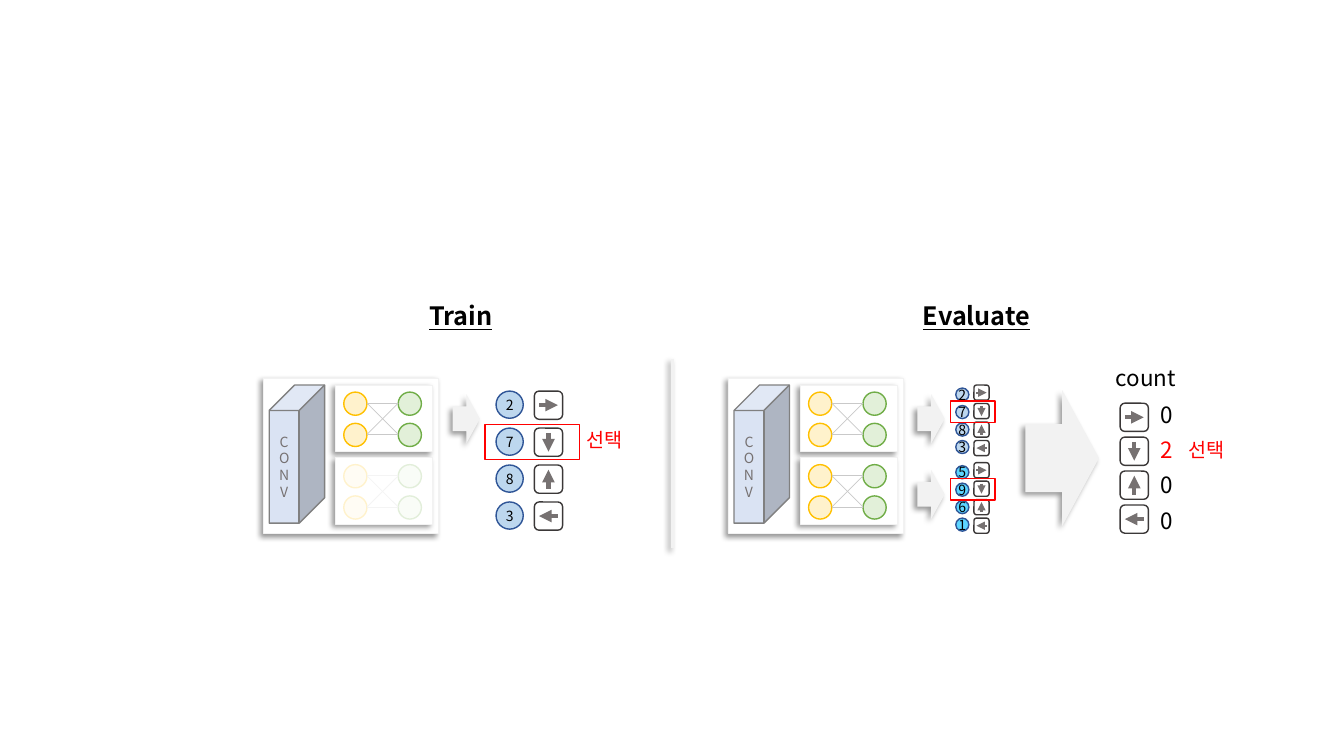
from lxml.etree import SubElement
from pptx import Presentation
from pptx.dml.color import RGBColor
from pptx.enum.shapes import MSO_CONNECTOR, MSO_SHAPE
from pptx.enum.text import MSO_ANCHOR, MSO_AUTO_SIZE, PP_ALIGN
from pptx.oxml.ns import qn
from pptx.util import Inches, Pt

RECT, ROUND = MSO_SHAPE.RECTANGLE, MSO_SHAPE.ROUNDED_RECTANGLE
OVAL, CUBE, ARROW = MSO_SHAPE.OVAL, MSO_SHAPE.CUBE, MSO_SHAPE.RIGHT_ARROW
LINE = MSO_CONNECTOR.STRAIGHT
CENTER, LEFT = PP_ALIGN.CENTER, PP_ALIGN.LEFT
TOP, MIDDLE = MSO_ANCHOR.TOP, MSO_ANCHOR.MIDDLE
FIT, NO_FIT = MSO_AUTO_SIZE.SHAPE_TO_FIT_TEXT, MSO_AUTO_SIZE.NONE

FONT = "Noto Sans CJK KR"
BLACK, WHITE, RED, PALE, GRAY = "000000", "FFFFFF", "FF0000", "F2F2F2", "767171"
BLUE, CYAN = "BDD7EE", "5DD5FF"
WAYS = [(1, 0), (0, 1), (0, -1), (-1, 0)]  # right, down, up, left


def rgb(code):
    return RGBColor.from_string(code)


def spread(first, last, count=4):
    """Return evenly spaced values from first to last."""
    return [first + i * (last - first) / (count - 1) for i in range(count)]


def shade(effects):
    """Put the soft lower-left shadow into an effect list."""
    outer = SubElement(effects, qn("a:outerShdw"), blurRad=str(Pt(4)),
                       dist=str(Pt(3)), dir=str(135 * 60000), algn="tr",
                       rotWithShape="0")
    color = SubElement(outer, qn("a:srgbClr"), val=BLACK)
    SubElement(color, qn("a:alpha"), val="40000")


class Board:
    """Holds the slide, the place for new shapes and the shared style."""

    def __init__(self, slide):
        self.slide = slide
        self.home = slide.shapes

    def group(self):
        self.home = self.slide.shapes.add_group_shape().shapes

    def ungroup(self):
        self.home = self.slide.shapes

    def shape(self, kind, x, y, w, h, fill=None, line=None, width=1,
              shadow=False):
        item = self.home.add_shape(kind, Inches(x), Inches(y), Inches(w), Inches(h))
        item.shadow.inherit = False
        if fill:
            item.fill.solid()
            item.fill.fore_color.rgb = rgb(fill)
        else:
            item.fill.background()
        if line:
            item.line.color.rgb = rgb(line)
            item.line.width = Pt(width)
        else:
            item.line.fill.background()
        if shadow:
            shade(item.element.spPr.find(qn("a:effectLst")))
        return item

    def link(self, x1, y1, x2, y2, color, width, head=False, shadow=False):
        item = self.home.add_connector(LINE, Inches(x1), Inches(y1),
                                       Inches(x2), Inches(y2))
        item.line.color.rgb = rgb(color)
        item.line.width = Pt(width)
        props = item.element.spPr
        if head:
            SubElement(props.find(qn("a:ln")), qn("a:tailEnd"), type="triangle")
        effects = SubElement(props, qn("a:effectLst"))
        if shadow:
            shade(effects)

    def words(self, frame, text, size, color, align=CENTER, bold=False):
        frame.text = text
        for para in frame.paragraphs:
            para.alignment = align
            para.space_before = Pt(0)
            for run in para.runs:
                font = run.font
                font.name, font.size = FONT, Pt(size)
                font.bold = font.underline = bold
                font.color.rgb = rgb(color)
                SubElement(run._r.get_or_add_rPr(), qn("a:ea"), typeface=FONT)

    def label(self, x, y, w, h, text, size=16, color=BLACK):
        frame = self.home.add_textbox(Inches(x), Inches(y), Inches(w),
                                      Inches(h)).text_frame
        frame.word_wrap = False
        frame.auto_size = FIT
        self.words(frame, text, size, color, LEFT)

    def head(self, index, x, w, text):
        """Fill a column heading placeholder."""
        item = self.slide.placeholders[index]
        item.left, item.top = Inches(x), Inches(2.93)
        item.width, item.height = Inches(w), Inches(0.4)
        frame = item.text_frame
        frame.auto_size, frame.vertical_anchor = NO_FIT, TOP
        self.words(frame, text, 18, BLACK, bold=True)

    def net(self, x, y):
        """Draw a panel with two inputs fully linked to two outputs."""
        self.shape(RECT, x, y, 0.96, 0.66, WHITE, PALE, 0.5, True)
        rows = [y + 0.07, y + 0.38]
        for top in rows:
            self.shape(OVAL, x + 0.08, top, 0.23, 0.23, "FFF2CC", "FFC000")
            self.shape(OVAL, x + 0.62, top, 0.23, 0.23, "E2F0D9", "70AD47")
        for start in rows:
            for end in rows:
                self.link(x + 0.31, start + 0.11, x + 0.62, end + 0.11,
                          "C9C9C9", 0.5)

    def model(self, x):
        """Draw the convolution block with its two networks."""
        self.group()
        self.shape(RECT, x, 3.75, 1.74, 1.54, WHITE, PALE, 0.5, True)
        conv = self.shape(CUBE, x + 0.06, 3.82, 0.55, 1.37, "DAE3F3", "808080")
        conv.adjustments[0] = 0.46
        conv.text_frame.vertical_anchor = MIDDLE
        self.words(conv.text_frame, "C\nO\nN\nV", 10, GRAY)
        for top in (3.82, 4.54):
            self.net(x + 0.72, top)
        self.ungroup()

    def arrow(self, x, y, w=0.27, h=0.49):
        self.shape(ARROW, x, y, w, h, PALE, shadow=True)

    def dots(self, x, tops, size, values, fill):
        """Draw a column of numbered circles."""
        self.group()
        for top, value in zip(tops, values):
            dot = self.shape(OVAL, x, top, size, size, fill, "2F5597")
            frame = dot.text_frame
            frame.margin_left = frame.margin_right = 0
            frame.margin_top = frame.margin_bottom = 0
            frame.vertical_anchor = MIDDLE
            self.words(frame, value, 10, BLACK)
        self.ungroup()

    def keys(self, x, tops, size, width):
        """Draw a column of the four arrow keys."""
        self.group()
        reach = size / 3
        for top, (dx, dy) in zip(tops, WAYS):
            self.shape(ROUND, x, top, size, size, line="3B3838")
            mx, my = x + size / 2, top + size / 2
            self.link(mx - dx * reach, my - dy * reach, mx + dx * reach,
                      my + dy * reach, GRAY, width, head=True)
        self.ungroup()

    def frame(self, x, y, w, h):
        self.shape(RECT, x, y, w, h, line=RED)

    def veil(self, x, y, w, h):
        """Fade what lies below with see-through white."""
        item = self.shape(RECT, x, y, w, h, WHITE)
        color = item.element.spPr.find(qn("a:solidFill"))[0]
        SubElement(color, qn("a:alpha"), val="80000")


def main():
    deck = Presentation()
    deck.slide_width, deck.slide_height = Inches(13.33), Inches(7.5)
    slide = deck.slides.add_slide(deck.slide_layouts.get_by_name("Comparison"))
    board = Board(slide)
    board.head(1, 2.61, 3.92, "Train")
    board.head(3, 7.22, 4.93, "Evaluate")
    for item in list(slide.placeholders):
        if not item.text_frame.text:
            item.element.getparent().remove(item.element)

    board.model(2.61)
    board.veil(3.38, 4.57, 0.88, 0.59)
    board.arrow(4.49, 3.91)
    board.dots(4.92, spread(3.88, 4.98), 0.27, "2783", BLUE)
    board.keys(5.3, spread(3.88, 4.98), 0.28, 3)
    board.frame(4.81, 4.21, 0.94, 0.35)
    board.label(5.72, 4.2, 0.56, 0.34, "선택", 14, RED)

    board.link(6.67, 3.56, 6.67, 5.44, PALE, 2, shadow=True)

    board.model(7.22)
    for y, values, fill in ((3.82, "2783", BLUE), (4.59, "5961", CYAN)):
        board.dots(9.48, spread(y + 0.03, y + 0.55), 0.13, values, fill)
        board.keys(9.66, spread(y, y + 0.55), 0.15, 1.5)
        board.frame(9.43, y + 0.16, 0.44, 0.21)
    for y in (3.91, 4.66):
        board.arrow(9.1, y)
    board.arrow(10.17, 3.87, 0.73, 1.35)
    board.label(10.97, 3.56, 0.8, 0.37, "count")
    board.keys(11.11, spread(4, 5.01), 0.28, 3)
    for y, value in zip(spread(3.93, 4.98), "0200"):
        board.label(11.41, y, 0.33, 0.37, value, color=BLACK if value == "0" else RED)
    board.label(11.69, 4.3, 0.56, 0.34, "선택", 14, RED)
    deck.save("out.pptx")


if __name__ == "__main__":
    main()
